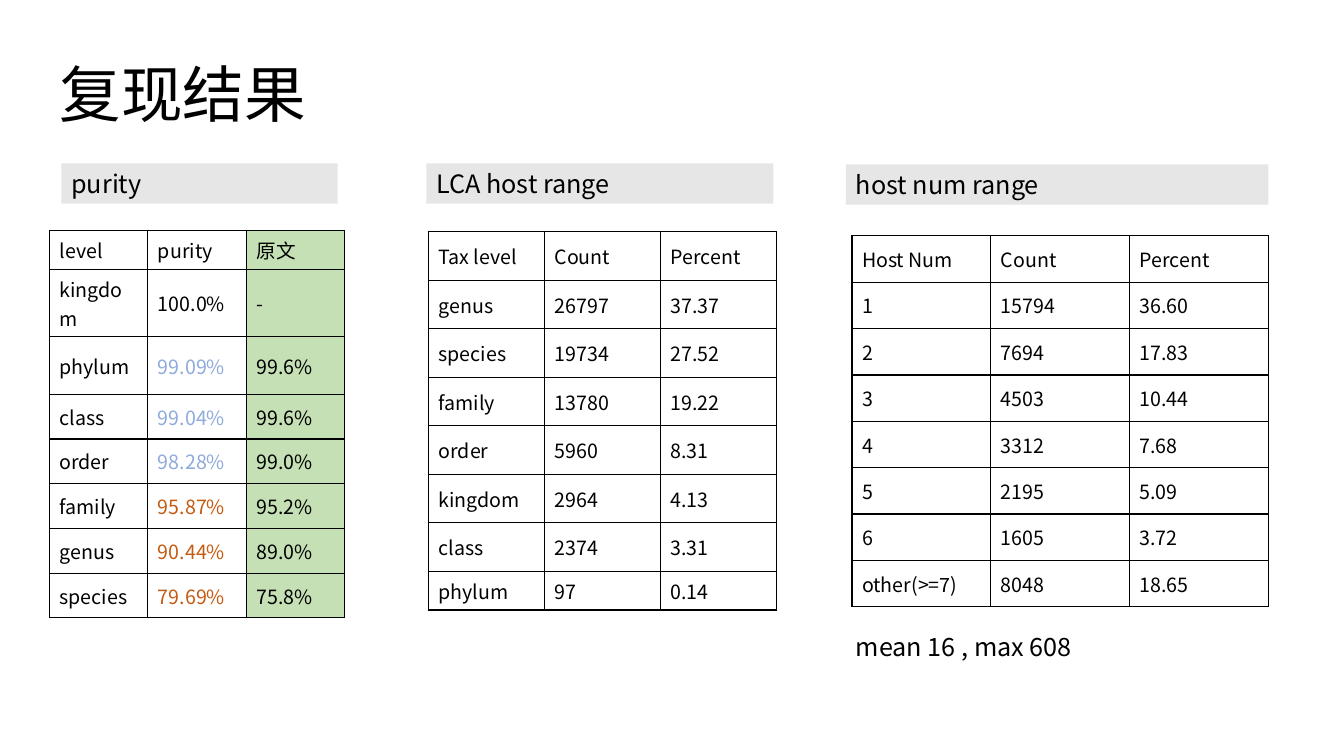
from dataclasses import dataclass
from lxml.etree import SubElement
from pptx import Presentation
from pptx.dml.color import RGBColor
from pptx.enum.shapes import MSO_SHAPE
from pptx.enum.text import MSO_ANCHOR, MSO_AUTO_SIZE, PP_ALIGN
from pptx.oxml import parse_xml
from pptx.oxml.ns import nsdecls, qn
from pptx.util import Pt

PX = 9144  # 100 px to the inch


@dataclass(frozen=True)
class Theme:
    font: str = "Noto Sans CJK SC"
    text: str = "000000"
    heading_fill: str = "E7E6E6"
    paper_fill: str = "C5E0B4"
    lower: str = "8FAADC"
    higher: str = "C55A11"
    title_size: int = 44
    heading_size: int = 18
    cell_size: int = 14
    border_width: int = 1


THEME = Theme()

PURITY = [
    ("level", "purity", "原文"),
    ("kingdom", "100.0%", "-"),
    ("phylum", "99.09%", "99.6%"),
    ("class", "99.04%", "99.6%"),
    ("order", "98.28%", "99.0%"),
    ("family", "95.87%", "95.2%"),
    ("genus", "90.44%", "89.0%"),
    ("species", "79.69%", "75.8%"),
]
HOST_RANGE = [
    ("Tax level", "Count", "Percent"),
    ("genus", "26797", "37.37"),
    ("species", "19734", "27.52"),
    ("family", "13780", "19.22"),
    ("order", "5960", "8.31"),
    ("kingdom", "2964", "4.13"),
    ("class", "2374", "3.31"),
    ("phylum", "97", "0.14"),
]
HOST_NUMBER = [
    ("Host Num", "Count", "Percent"),
    ("1", "15794", "36.60"),
    ("2", "7694", "17.83"),
    ("3", "4503", "10.44"),
    ("4", "3312", "7.68"),
    ("5", "2195", "5.09"),
    ("6", "1605", "3.72"),
    ("other(>=7)", "8048", "18.65"),
]


def emu(box):
    return [round(length * PX) for length in box]


def write(text_frame, text, size, color=THEME.text):
    text_frame.text = text
    paragraph = text_frame.paragraphs[0]
    paragraph.alignment = PP_ALIGN.LEFT
    for run in paragraph.runs:
        run.font.size = Pt(size)
        run.font.name = THEME.font
        run.font.color.rgb = RGBColor.from_string(color)
        SubElement(run.font._element, qn("a:ea"), typeface=THEME.font)


def add_title(slide, box, text):
    title = slide.shapes.title
    title.left, title.top, title.width, title.height = emu(box)
    write(title.text_frame, text, THEME.title_size)
    title.text_frame.auto_size = MSO_AUTO_SIZE.NONE
    title.text_frame.vertical_anchor = MSO_ANCHOR.MIDDLE
    title.text_frame.paragraphs[0].line_spacing = 0.9


def add_heading(slide, box, text):
    bar = slide.shapes.add_shape(MSO_SHAPE.RECTANGLE, *emu(box))
    bar.shadow.inherit = False
    bar.fill.solid()
    bar.fill.fore_color.rgb = RGBColor.from_string(THEME.heading_fill)
    bar.line.fill.background()
    bar.text_frame.vertical_anchor = MSO_ANCHOR.TOP
    write(bar.text_frame, text, THEME.heading_size)


def add_note(slide, box, text):
    note = slide.shapes.add_textbox(*emu(box))
    note.text_frame.word_wrap = True
    write(note.text_frame, text, THEME.heading_size)


def add_borders(cell):
    properties = cell._tc.get_or_add_tcPr()
    for index, side in enumerate(("lnL", "lnR", "lnT", "lnB")):
        properties.insert(index, parse_xml(
            f'<a:{side} {nsdecls("a")} w="{Pt(THEME.border_width)}"><a:solidFill>'
            f'<a:srgbClr val="{THEME.text}"/></a:solidFill></a:{side}>'))


def add_grid(slide, box, rows, fixed_heights, cell_style):
    """Rows without a fixed height share what is left of the box."""
    width, height = box[2:]
    shared = (height - sum(fixed_heights.values())) / (len(rows) - len(fixed_heights))
    table = slide.shapes.add_table(len(rows), len(rows[0]), *emu(box)).table
    table.first_row = table.horz_banding = False
    for column in table.columns:
        column.width = round(width * PX / len(rows[0]))
    for row_index, values in enumerate(rows):
        table.rows[row_index].height = round(fixed_heights.get(row_index, shared) * PX)
        for column_index, value in enumerate(values):
            cell = table.cell(row_index, column_index)
            color, fill = cell_style(row_index, column_index)
            write(cell.text_frame, value, THEME.cell_size, color)
            cell.vertical_anchor = MSO_ANCHOR.MIDDLE
            if fill:
                cell.fill.solid()
                cell.fill.fore_color.rgb = RGBColor.from_string(fill)
            else:
                cell.fill.background()
            add_borders(cell)


def plain_style(row, column):
    return THEME.text, None


def purity_style(row, column):
    """Colours a purity by whether it is below or above the paper's value."""
    if column == 2:
        return THEME.text, THEME.paper_fill
    if column == 0 or row < 2:
        return THEME.text, None
    reproduced, paper = (float(value.rstrip("%")) for value in PURITY[row][1:])
    return (THEME.lower if reproduced < paper else THEME.higher), None


def add_panel(slide, box, heading, rows, grid_offset, grid_size,
              fixed_heights=None, cell_style=plain_style):
    left, top, width, height = box
    add_heading(slide, box, heading)
    grid_box = (left + grid_offset[0], top + grid_offset[1], *grid_size)
    add_grid(slide, grid_box, rows, fixed_heights or {}, cell_style)


def build_results(presentation):
    slide = presentation.slides.add_slide(presentation.slide_layouts[5])
    add_title(slide, (49, 24, 1150, 145), "复现结果")
    add_panel(slide, (61, 162, 274, 40), "purity", PURITY, (-12, 67), (293, 373),
              {0: 35, 1: 59, 2: 57}, purity_style)
    add_panel(slide, (423, 162, 344, 40), "LCA host range", HOST_RANGE,
              (2, 68), (345, 373), {7: 36})
    add_panel(slide, (839, 163, 419, 40), "host num range", HOST_NUMBER,
              (6, 71), (413, 368))
    add_note(slide, (839, 621, 318, 40), "mean 16 , max 608")


def main():
    presentation = Presentation()
    presentation.slide_width, presentation.slide_height = emu((1333, 750))
    build_results(presentation)
    presentation.save("out.pptx")


if __name__ == "__main__":
    main()
